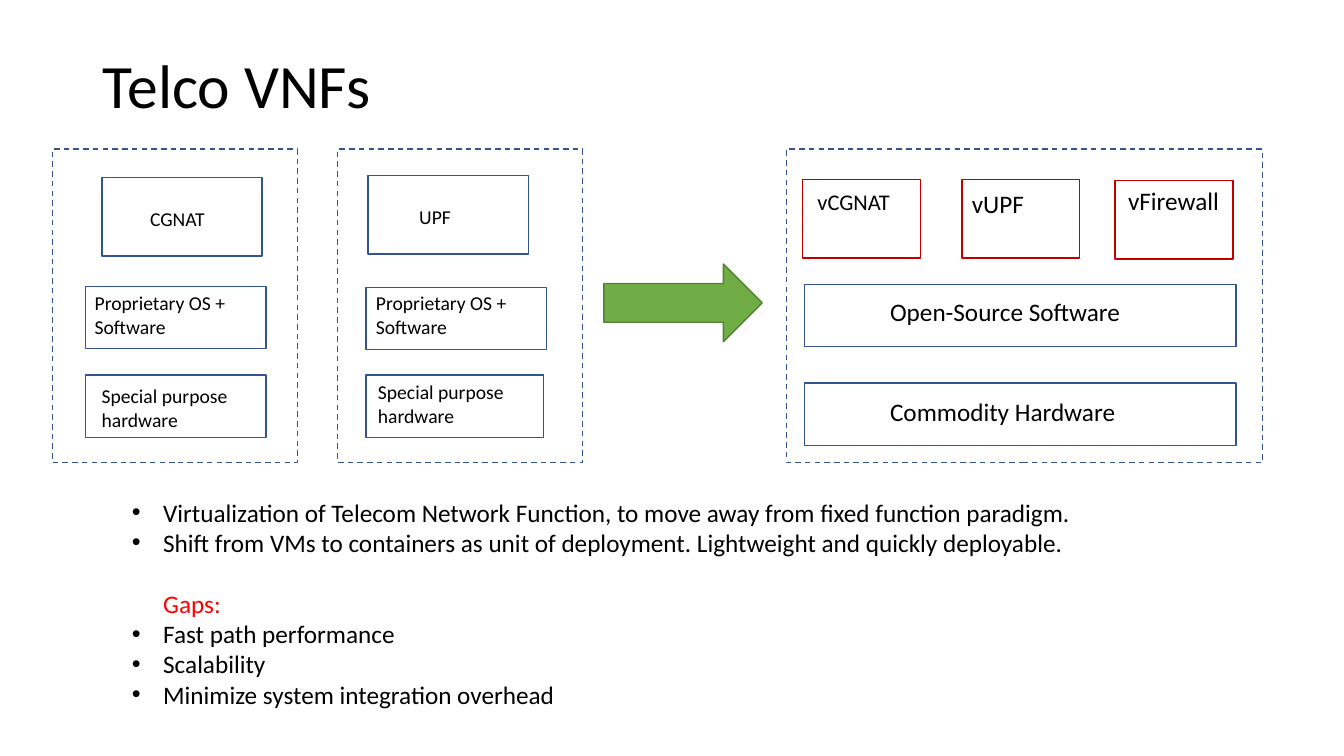
from dataclasses import dataclass
from typing import Any

from lxml.etree import SubElement
from pptx import Presentation
from pptx.dml.color import RGBColor
from pptx.enum.dml import MSO_LINE
from pptx.enum.shapes import MSO_SHAPE
from pptx.enum.text import MSO_ANCHOR, MSO_AUTO_SIZE, PP_ALIGN
from pptx.oxml.ns import qn
from pptx.util import Emu, Pt

PX = 9144
COLORS = {
    "white": "FFFFFF",
    "black": "000000",
    "blue": "325491",
    "green": "70AD47",
    "moss": "538035",
    "crimson": "C00000",
    "red": "FF0000",
}


@dataclass(frozen=True)
class Box:
    left: int
    top: int
    width: int
    height: int
    line: str = "blue"
    fill: str = "white"
    dashed: bool = False
    kind: MSO_SHAPE = MSO_SHAPE.RECTANGLE


@dataclass(frozen=True)
class Label:
    text: str
    left: int
    top: int
    width: int
    height: int
    size: int = 14


@dataclass(frozen=True)
class Point:
    text: str
    color: str = "black"
    bullet: bool = True
    before: int = 0


PANELS = [Box(left, 148, width, 311, dashed=True)
          for left, width in ((52, 243), (335, 243), (780, 472))]
STACKS = [
    Box(101, 176, 159, 78), Box(85, 284, 179, 62), Box(85, 372, 179, 62),
    Box(365, 174, 159, 78), Box(363, 285, 179, 62), Box(363, 372, 176, 62),
]
LAYERS = [Box(798, top, 428, 62) for top in (282, 380)]
VIRTUAL = [Box(left, top, 117, 78, "crimson")
           for left, top in ((796, 178), (954, 178), (1106, 179))]
ARROW = Box(599, 262, 157, 77, "moss", "green", kind=MSO_SHAPE.RIGHT_ARROW)

LABELS = [
    Label("CGNAT", 139, 200, 96, 34),
    Label("UPF", 406, 198, 96, 34),
    Label("Proprietary OS + Software", 84, 284, 151, 57),
    Label("Proprietary OS + Software", 363, 284, 151, 57),
    Label("Special purpose hardware", 91, 376, 146, 57),
    Label("Special purpose hardware", 365, 372, 146, 57),
    Label("vCGNAT", 801, 182, 100, 37, 16),
    Label("vUPF", 954, 182, 100, 40, 18),
    Label("vFirewall", 1109, 179, 117, 40, 18),
    Label("Open-Source Software", 873, 289, 340, 40, 18),
    Label("Commodity Hardware", 873, 388, 340, 40, 18),
]

POINTS = [
    Point("Virtualization of Telecom Network Function, to move away from "
          "fixed function paradigm."),
    Point("Shift from VMs to containers as unit of deployment. "
          "Lightweight and quickly deployable."),
    Point("Gaps:", "red", bullet=False, before=22),
    Point("Fast path performance"),
    Point("Scalability"),
    Point("Minimize system integration overhead"),
]


def px(value: int) -> Emu:
    return Emu(value * PX)


def rgb(name: str) -> RGBColor:
    return RGBColor.from_string(COLORS[name])


def apply(target: Any, values: dict[str, Any]) -> None:
    for name, value in values.items():
        setattr(target, name, value)


def write(para: Any, text: str, size: int, color: str = "black") -> None:
    run = para.add_run()
    run.text = text
    apply(run.font, {"name": "Calibri", "size": Pt(size), "bold": False})
    run.font.color.rgb = rgb(color)


def draw_box(slide: Any, box: Box) -> None:
    shape = slide.shapes.add_shape(
        box.kind, px(box.left), px(box.top), px(box.width), px(box.height))
    shape.shadow.inherit = False
    shape.fill.solid()
    shape.fill.fore_color.rgb = rgb(box.fill)
    shape.line.color.rgb = rgb(box.line)
    shape.line.width = Pt(1)
    if box.dashed:
        shape.line.dash_style = MSO_LINE.DASH


def add_frame(slide: Any, left: int, top: int, width: int, height: int) -> Any:
    frame = slide.shapes.add_textbox(
        px(left), px(top), px(width), px(height)).text_frame
    apply(frame, {"word_wrap": True,
                  "auto_size": MSO_AUTO_SIZE.SHAPE_TO_FIT_TEXT})
    return frame


def draw_label(slide: Any, label: Label) -> None:
    frame = add_frame(slide, label.left, label.top, label.width, label.height)
    write(frame.paragraphs[0], label.text, label.size)


def draw_points(slide: Any, points: list[Point]) -> None:
    frame = add_frame(slide, 121, 488, 1091, 222)
    for index, point in enumerate(points):
        para = frame.add_paragraph() if index else frame.paragraphs[0]
        props = para._p.get_or_add_pPr()
        props.set("marL", str(px(31)))
        props.set("indent", str(px(-31 if point.bullet else 0)))
        if point.bullet:
            SubElement(props, qn("a:buFont"), typeface="Arial")
            SubElement(props, qn("a:buChar"), char="•")
        else:
            SubElement(props, qn("a:buNone"))
        if point.before:
            para.space_before = Pt(point.before)
        write(para, point.text, 18, point.color)


def draw_title(slide: Any, text: str) -> None:
    title = slide.shapes.title
    apply(title, {"left": px(92), "top": px(38),
                  "width": px(1150), "height": px(99)})
    apply(title.text_frame, {"vertical_anchor": MSO_ANCHOR.MIDDLE,
                             "word_wrap": True,
                             "auto_size": MSO_AUTO_SIZE.NONE})
    para = title.text_frame.paragraphs[0]
    apply(para, {"alignment": PP_ALIGN.LEFT, "line_spacing": 0.9})
    write(para, text, 44)


def main() -> None:
    deck = Presentation()
    apply(deck, {"slide_width": px(1333), "slide_height": px(750)})
    slide = deck.slides.add_slide(deck.slide_layouts[5])
    draw_title(slide, "Telco VNFs")
    for box in [*PANELS, *STACKS, *LAYERS, *VIRTUAL, ARROW]:
        draw_box(slide, box)
    for label in LABELS:
        draw_label(slide, label)
    draw_points(slide, POINTS)
    deck.save("out.pptx")


if __name__ == "__main__":
    main()
